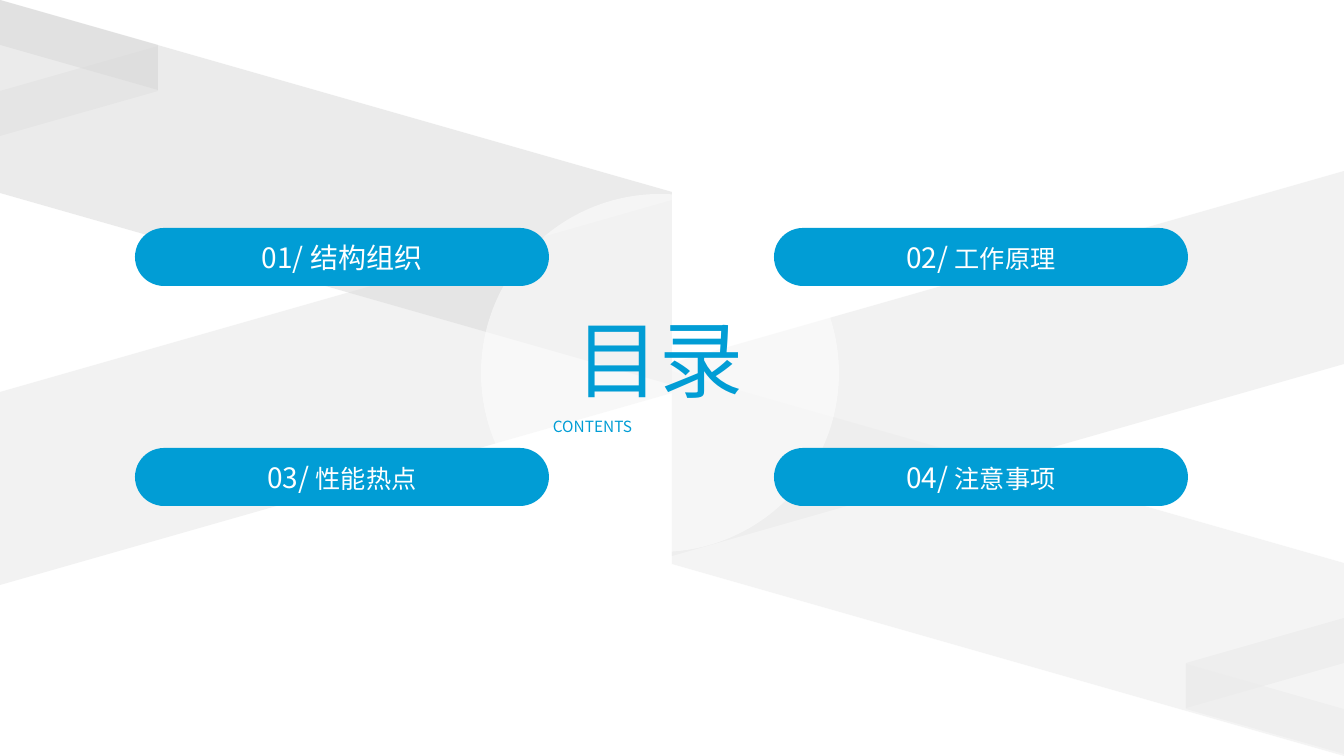
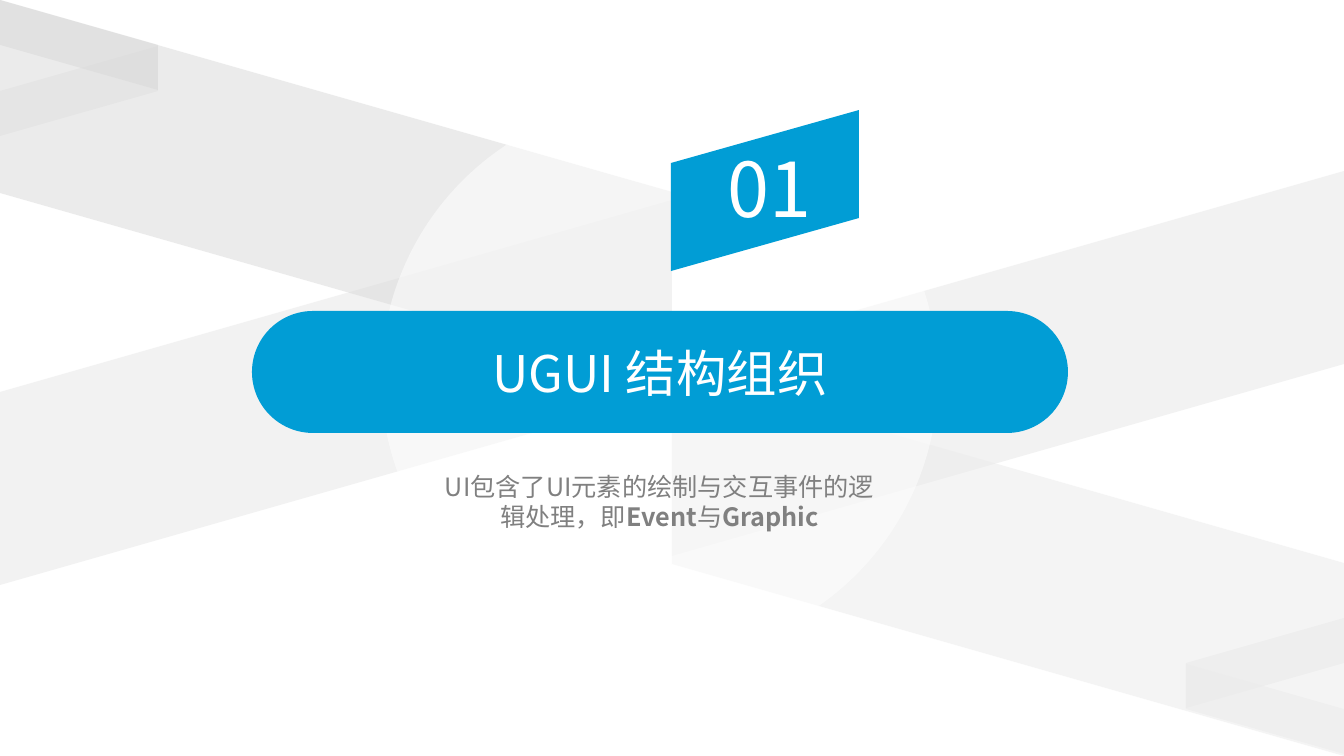
import pptx
import pptx.dml.color
import pptx.enum.shapes
import pptx.enum.text
import pptx.oxml.ns
import pptx.util
from lxml import etree

RGBColor = pptx.dml.color.RGBColor
SHAPE = pptx.enum.shapes.MSO_SHAPE
ALIGN = pptx.enum.text.PP_ALIGN
ANCHOR = pptx.enum.text.MSO_ANCHOR
AUTO = pptx.enum.text.MSO_AUTO_SIZE
qn = pptx.oxml.ns.qn

BLUE = RGBColor(0x01, 0x9D, 0xD5)
WHITE = RGBColor(0xFF, 0xFF, 0xFF)
GREY = RGBColor(0x80, 0x80, 0x80)
BAND = RGBColor(0xF2, 0xF2, 0xF2)
BAND_LEFT = RGBColor(0xD9, 0xD9, 0xD9)
BAND_RIGHT = RGBColor(0xEB, 0xEB, 0xEB)
FONT = "Noto Sans CJK SC"

SLIDE_W, SLIDE_H = 1344, 756
EMU_PER_PX = 12192000 / SLIDE_W

# Content: runs are (text, size, bold)
CONTENTS = [
    [("01/ 结构组织", 20, False)],
    [("02/ ", 20, False), ("工作原理", 18, False)],
    [("03/ ", 20, False), ("性能热点", 18, False)],
    [("04/ ", 20, False), ("注意事项", 18, False)],
]
SUMMARY = [
    ("UI包含了UI元素的绘制与交互事件的逻辑处理，即", 18, False),
    ("Event", 18, True),
    ("与", 18, False),
    ("Graphic", 18, True),
]

# Crossed bands: left, width, top of rising band, top of falling band,
# slant, height, colour of falling band
CROSSES = [
    (1186, 158, 618, 664, 45, 45, BAND_RIGHT),
    (0, 158, 46, 0, 45, 45, BAND_LEFT),
    (672, 672, 171, 371, 192, 193, BAND_RIGHT),
    (0, 672, 200, 0, 192, 193, BAND_LEFT),
]


def px(n):
    return pptx.util.Emu(round(n * EMU_PER_PX))


def paint(sp, color, opacity=100):
    sp.shadow.inherit = False
    sp.fill.solid()
    sp.fill.fore_color.rgb = color
    sp.line.fill.background()
    if opacity < 100:
        clr = sp._element.spPr.find(qn("a:solidFill")).find(qn("a:srgbClr"))
        etree.SubElement(clr, qn("a:alpha")).set("val", str(opacity * 1000))


def add_shape(slide, kind, box, color, opacity=100):
    sp = slide.shapes.add_shape(kind, *map(px, box))
    paint(sp, color, opacity)
    return sp


def add_pill(slide, box):
    sp = add_shape(slide, SHAPE.ROUNDED_RECTANGLE, box, BLUE)
    sp.adjustments[0] = 0.5
    return sp


def add_slanted(slide, x, y, w, slant, h, color, rising, opacity=100):
    """Parallelogram with upright sides whose bounding box starts at x, y."""
    left, right = (y + slant, y) if rising else (y, y + slant)
    fb = slide.shapes.build_freeform(px(x), px(left))
    corners = [(x + w, right), (x + w, right + h), (x, left + h)]
    fb.add_line_segments([(px(a), px(b)) for a, b in corners], close=True)
    paint(fb.convert_to_shape(), color, opacity)


def write(sp, runs, color, align=ALIGN.CENTER, anchor=ANCHOR.MIDDLE,
          wrap=True):
    tf = sp.text_frame
    tf.word_wrap = wrap
    tf.auto_size = AUTO.NONE
    tf.vertical_anchor = anchor
    p = tf.paragraphs[0]
    p.alignment = align
    p.line_spacing = 1.0
    for text, size, bold in runs:
        r = p.add_run()
        r.text = text
        r.font.size = pptx.util.Pt(size)
        r.font.bold = bold
        r.font.name = FONT
        r.font.color.rgb = color
        latin = r._r.rPr.find(qn("a:latin"))
        ea = etree.Element(qn("a:ea"), typeface=FONT)
        latin.addnext(ea)


def add_text(slide, box, runs, color, **style):
    sp = slide.shapes.add_textbox(*map(px, box))
    write(sp, runs, color, anchor=ANCHOR.TOP, **style)


def set_title(slide, box, runs, color, **style):
    sp = slide.shapes.title
    sp.left, sp.top, sp.width, sp.height = map(px, box)
    write(sp, runs, color, **style)
    slide.shapes._spTree.append(sp._element)  # bring to front


def new_slide(prs, circle):
    """Slide with the shared crossed bands and a pale centre circle."""
    slide = prs.slides.add_slide(prs.slide_layouts[5])
    for x, w, rise_y, fall_y, slant, h, color in CROSSES:
        add_slanted(slide, x, rise_y, w, slant, h, BAND, True)
        add_slanted(slide, x, fall_y, w, slant, h, color, False, 50)
    add_shape(slide, SHAPE.OVAL, circle, WHITE, 51)
    return slide


def contents_slide(prs):
    slide = new_slide(prs, (481, 194, 358, 358))
    # Title box is wide enough to hold both characters on one line
    set_title(slide, (540, 302, 240, 109), [("目录", 60, False)], BLUE,
              anchor=ANCHOR.TOP)
    add_text(slide, (543, 412, 235, 29), [("CONTENTS", 11, False)], BLUE,
             align=ALIGN.JUSTIFY)
    # Two-by-two grid of sections
    for i, runs in enumerate(CONTENTS):
        row, col = divmod(i, 2)
        pill = add_pill(slide, (135 + 639 * col, 228 + 220 * row, 414, 58))
        write(pill, runs, WHITE)


def section_slide(prs):
    slide = new_slide(prs, (381, 99, 557, 557))
    # Title on its pill
    title_box = (252, 311, 816, 122)
    add_pill(slide, title_box)
    set_title(slide, title_box, [("UGUI 结构组织", 36, False)], WHITE)
    # Section number on a slanted banner
    add_slanted(slide, 671, 110, 188, 53, 108, BLUE, True)
    add_text(slide, (718, 137, 97, 102), [("01", 54, False)], WHITE,
             align=ALIGN.LEFT, wrap=False)
    add_text(slide, (425, 466, 469, 72), SUMMARY, GREY)


def main():
    prs = pptx.Presentation()
    prs.slide_width, prs.slide_height = px(SLIDE_W), px(SLIDE_H)
    contents_slide(prs)
    section_slide(prs)
    prs.save("out.pptx")


if __name__ == "__main__":
    main()
